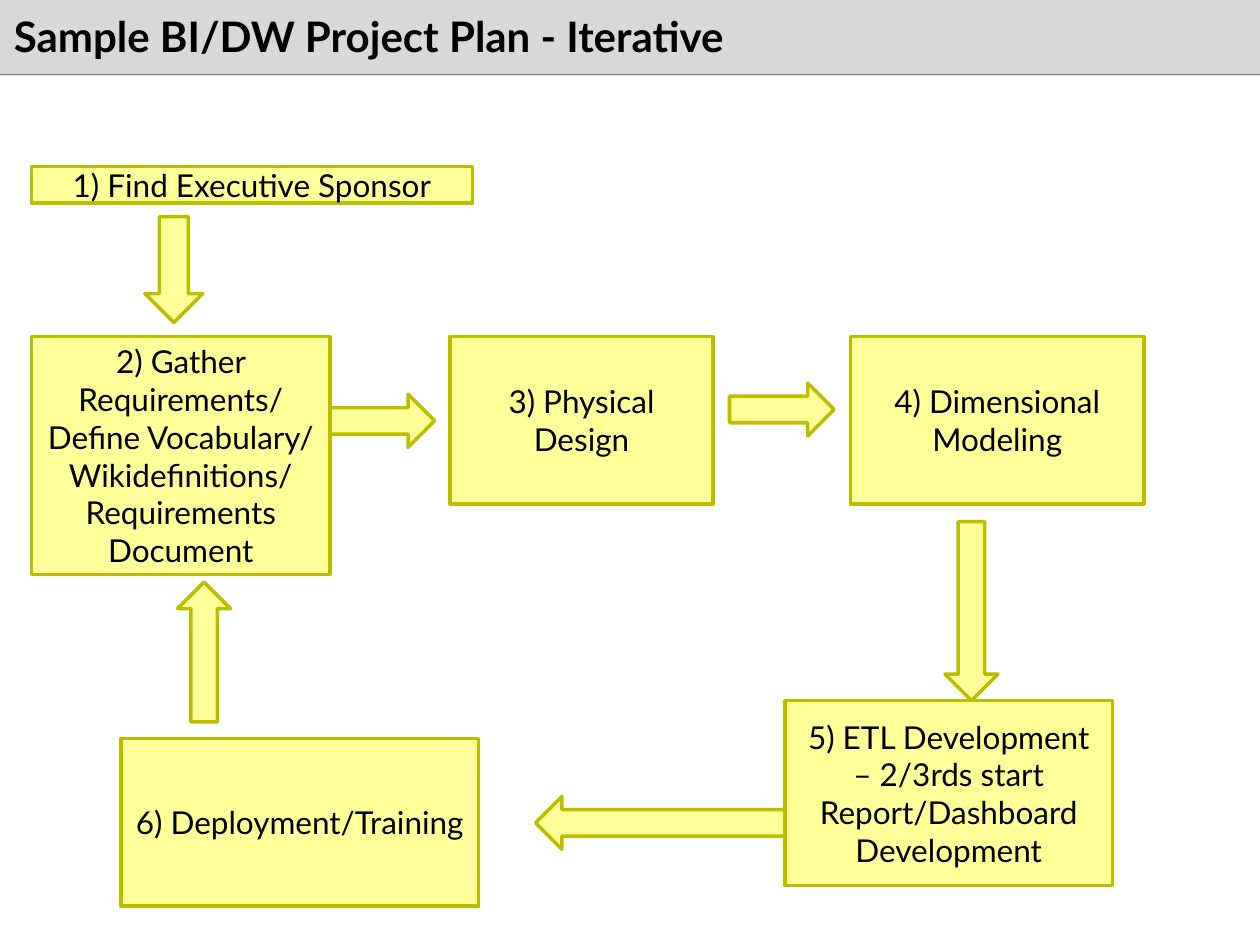
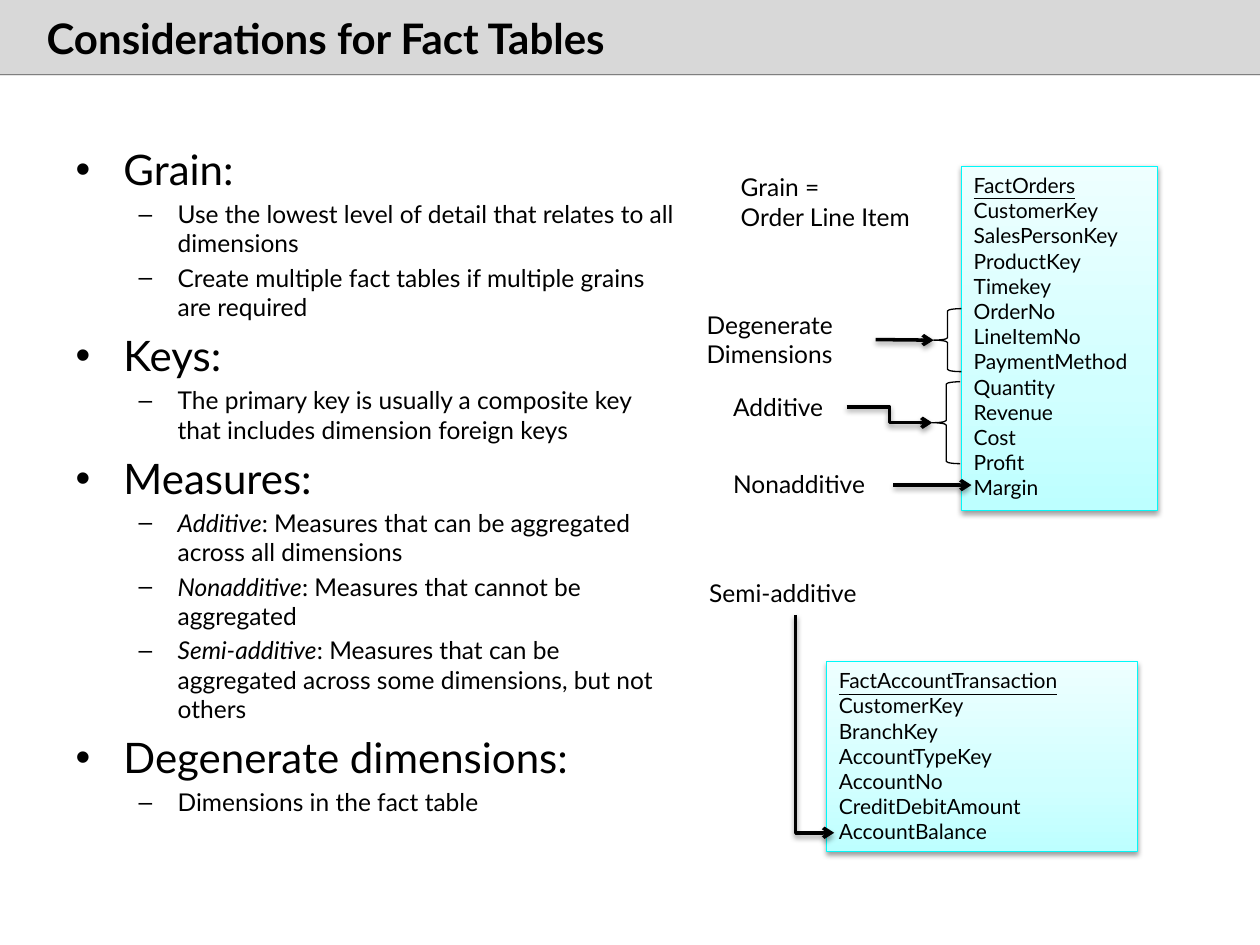
"""Build two slides on BI/DW project planning and fact tables."""
import pptx
import pptx.dml.color
import pptx.enum.shapes
import pptx.enum.text
import pptx.oxml.ns
import pptx.util
from lxml import etree

W, H = 10, 7.5
FONT = "Lato"
BLACK, BAND, RULE = "000000", "D8D8D8", "7F7F7F"
STEP_FILL, STEP_LINE, FACT_LINE = "FFFF99", "BDBD00", "00F9F9"
FACT_STOPS = [(0, "BDFFFF"), (35, "D1FFFF"), (100, "EEFFFF")]
SHAPE = pptx.enum.shapes.MSO_SHAPE
CONN = pptx.enum.shapes.MSO_CONNECTOR
ALIGN = pptx.enum.text.PP_ALIGN
ANCHOR = pptx.enum.text.MSO_ANCHOR
qn = pptx.oxml.ns.qn
inch = pptx.util.Inches

ROW, BOX_H, ARROW = 2.67, 1.33, 0.42
STEPS = [
    (["1) Find Executive Sponsor"], (0.25, 1.32, 3.5, 0.29)),
    (["2) Gather Requirements/", "Define Vocabulary/", "Wikidefinitions/",
      "Requirements Document"], (0.25, ROW, 2.37, 1.89)),
    (["3) Physical Design"], (3.57, ROW, 2.09, BOX_H)),
    (["4) Dimensional Modeling"], (6.75, ROW, 2.33, BOX_H)),
    (["5) ETL Development – 2/3rds start Report/Dashboard Development"],
     (6.23, 5.56, 2.6, 1.47)),
    (["6) Deployment/Training"], (0.96, 5.86, 2.84, BOX_H)),
]
ARROWS = [
    (SHAPE.DOWN_ARROW, (1.15, 1.72, 0.46, 0.84)),
    (SHAPE.RIGHT_ARROW, (2.62, 3.13, 0.83, ARROW)),
    (SHAPE.RIGHT_ARROW, (5.79, 3.04, 0.83, ARROW)),
    (SHAPE.DOWN_ARROW, (7.5, 4.14, ARROW, 1.42)),
    (SHAPE.LEFT_ARROW, (4.25, 6.32, 1.98, ARROW)),
    (SHAPE.UP_ARROW, (1.41, 4.62, ARROW, 1.11)),
]

OUTLINE = [
    ("Grain:", [
        ("", "Use the lowest level of detail that relates to all dimensions"),
        ("", "Create multiple fact tables if multiple grains are required")]),
    ("Keys:", [
        ("", "The primary key is usually a composite key that includes "
             "dimension foreign keys")]),
    ("Measures:", [
        ("Additive", ": Measures that can be aggregated across all dimensions"),
        ("Nonadditive", ": Measures that cannot be aggregated"),
        ("Semi-additive", ": Measures that can be aggregated across some "
                          "dimensions, but not others")]),
    ("Degenerate dimensions:", [("", "Dimensions in the fact table")]),
]
LEVELS = [("•", 24, 0.38, -0.38), ("–", 14, 0.81, -0.31)]
FACTS = [
    ((7.63, 1.32, 1.56, 2.73),
     ["FactOrders", "CustomerKey", "SalesPersonKey", "ProductKey", "Timekey",
      "OrderNo", "LineItemNo", "PaymentMethod", "Quantity", "Revenue", "Cost",
      "Profit", "Margin"]),
    ((6.56, 5.25, 2.47, 1.51),
     ["FactAccountTransaction", "CustomerKey", "BranchKey", "AccountTypeKey",
      "AccountNo", "CreditDebitAmount", "AccountBalance"]),
]
LABELS = {
    "grain": (["Grain =", "Order Line Item"], (5.78, 1.32, 1.85, 0.57)),
    "degenerate": (["Degenerate Dimensions"], (5.51, 2.41, 1.44, 0.57)),
    "additive": (["Additive"], (5.72, 3.06, 1, 0.34)),
    "nonadditive": (["Nonadditive"], (5.72, 3.67, 1.37, 0.36)),
    "semi": (["Semi-additive"], (5.53, 4.54, 1.57, 0.34)),
}
BRACES = {"degenerate": (7.41, 2.45, 0.22, 0.5),
          "additive": (7.4, 3.03, 0.22, 0.65)}
MARGIN_X = 7.71
BALANCE = (6.62, 6.61)


def color(hex_code):
    """Turn a hex string into a colour."""
    return pptx.dml.color.RGBColor.from_string(hex_code)


def place(sp, box):
    """Set the position and size of a shape in inches."""
    sp.left, sp.top, sp.width, sp.height = map(inch, box)


def set_line(sp, hex_code, width):
    """Give a shape or connector a solid line."""
    sp.line.color.rgb = color(hex_code)
    sp.line.width = pptx.util.Pt(width)


def style(p, size, bold=None):
    """Format every run of a paragraph."""
    for r in p.runs:
        r.font.name, r.font.size, r.font.bold = FONT, pptx.util.Pt(size), bold
        r.font.color.rgb = color(BLACK)


def write(sp, lines, size, align=ALIGN.LEFT, anchor=ANCHOR.TOP):
    """Fill a shape with one paragraph per line."""
    tf = sp.text_frame
    tf.word_wrap, tf.vertical_anchor = True, anchor
    tf.text = "\n".join(lines)
    for p in tf.paragraphs:
        p.alignment = align
        style(p, size)
    return tf


def add_shape(s, kind, box, fill, line, width):
    """Add a flat preset shape."""
    sp = s.shapes.add_shape(kind, *map(inch, box))
    sp.shadow.inherit = False
    if fill:
        sp.fill.solid()
        sp.fill.fore_color.rgb = color(fill)
    else:
        sp.fill.background()
    if line:
        set_line(sp, line, width)
    else:
        sp.line.fill.background()
    return sp


def add_effects(sp, shadow=True):
    """Replace the inherited effects with a soft drop shadow or none."""
    spPr = sp.element.spPr
    for old in spPr.findall(qn("a:effectLst")):
        spPr.remove(old)
    effects = etree.SubElement(spPr, qn("a:effectLst"))
    if shadow:
        outer = etree.SubElement(effects, qn("a:outerShdw"), blurRad="40000",
                                 dist="20000", dir="5400000", rotWithShape="0")
        clr = etree.SubElement(outer, qn("a:srgbClr"), val=BLACK)
        etree.SubElement(clr, qn("a:alpha"), val="38000")


def add_arrow(s, kind, begin, end):
    """Add a black connector with an open arrowhead and a shadow."""
    cx = s.shapes.add_connector(kind, *map(inch, begin + end))
    set_line(cx, BLACK, 2)
    etree.SubElement(cx.line._get_or_add_ln(), qn("a:tailEnd"), type="arrow")
    add_effects(cx)
    return cx


def add_master_band(prs, s):
    """Put the grey title band and its rule on the master."""
    band = add_shape(s, SHAPE.RECTANGLE, (0, 0, W, 0.6), BAND, None, 0)
    rule = s.shapes.add_connector(CONN.STRAIGHT, *map(inch, (0, 0.59, W, 0.59)))
    set_line(rule, RULE, 0.4)
    add_effects(rule, shadow=False)
    tree = prs.slide_master.element.cSld.spTree
    for i, sp in enumerate((band, rule)):
        tree.insert(2 + i, sp.element)


def set_title(s, text, box):
    """Write and format the slide title."""
    sp = s.shapes.title
    place(sp, box)
    tf = write(sp, [text], 24, anchor=ANCHOR.MIDDLE)
    tf.auto_size = pptx.enum.text.MSO_AUTO_SIZE.NONE
    tf.margin_top = tf.margin_bottom = 0
    style(tf.paragraphs[0], 24, True)


def add_bullet(tf, level, parts):
    """Add one bulleted paragraph; its first part is italic on level 1."""
    mark, size, margin, indent = LEVELS[level]
    first = not tf.paragraphs[0].runs
    p = tf.paragraphs[0] if first else tf.add_paragraph()
    p.level = level
    p.space_before = pptx.util.Pt(0 if first else size * 0.2)
    pPr = p._p.get_or_add_pPr()
    pPr.set("marL", str(inch(margin)))
    pPr.set("indent", str(inch(indent)))
    clr = etree.SubElement(pPr, qn("a:buClr"))
    etree.SubElement(clr, qn("a:srgbClr"), val=BLACK)
    etree.SubElement(pPr, qn("a:buFont"), typeface="Arial")
    etree.SubElement(pPr, qn("a:buChar"), char=mark)
    for i, part in enumerate(parts):
        if part:
            r = p.add_run()
            r.text = part
            r.font.italic = level == 1 and i == 0
    style(p, size)


def add_fact(s, box, fields):
    """Add a fact table card with an underlined name."""
    sp = add_shape(s, SHAPE.RECTANGLE, box, None, FACT_LINE, 0.75)
    sp.fill.gradient()
    sp.fill.gradient_angle = 90
    stops = sp.element.spPr.find(".//" + qn("a:gsLst"))
    stops.clear()
    for pos, hex_code in FACT_STOPS:
        gs = etree.SubElement(stops, qn("a:gs"), pos=str(pos * 1000))
        etree.SubElement(gs, qn("a:srgbClr"), val=hex_code)
    add_effects(sp)
    tf = write(sp, fields, 12)
    tf.paragraphs[0].runs[0].font.underline = True


def build_plan(s):
    """Draw the iterative project plan."""
    set_title(s, "Sample BI/DW Project Plan - Iterative", (0.01, 0, 9, 0.56))
    for lines, box in STEPS:
        sp = add_shape(s, SHAPE.RECTANGLE, box, STEP_FILL, STEP_LINE, 2)
        write(sp, lines, 18, ALIGN.CENTER, ANCHOR.MIDDLE)
    for kind, box in ARROWS:
        add_shape(s, kind, box, STEP_FILL, STEP_LINE, 2)


def build_facts(s):
    """Draw the fact table outline and its annotated examples."""
    set_title(s, "Considerations for Fact Tables", (0.27, 0.1, 4.99, 0.4))
    body = s.placeholders[1]
    place(body, (0.5, 1.09, 4.98, 6.41))
    tf = body.text_frame
    tf.auto_size = pptx.enum.text.MSO_AUTO_SIZE.NONE
    for heading, points in OUTLINE:
        add_bullet(tf, 0, [heading])
        for parts in points:
            add_bullet(tf, 1, parts)
    for box, fields in FACTS:
        add_fact(s, box, fields)
    labels = {}
    for key, (lines, box) in LABELS.items():
        labels[key] = s.shapes.add_textbox(*map(inch, box))
        write(labels[key], lines, 14)
    for key, kind in (("degenerate", CONN.STRAIGHT), ("additive", CONN.ELBOW)):
        brace = add_shape(s, SHAPE.LEFT_BRACE, BRACES[key], None, BLACK, 0.75)
        cx = add_arrow(s, kind, (0, 0), (1, 1))
        cx.begin_connect(labels[key], 3)
        cx.end_connect(brace, 1)
    x, y, w, h = LABELS["nonadditive"][1]
    cx = add_arrow(s, CONN.STRAIGHT, (x + w, y + h / 2), (MARGIN_X, y + h / 2))
    cx.begin_connect(labels["nonadditive"], 3)
    x, y, w, h = LABELS["semi"][1]
    x0, y0, (x1, y1) = x + w / 2, y + h, BALANCE
    mid_x, mid_y, run, drop = (x0 + x1) / 2, (y0 + y1) / 2, x1 - x0, y1 - y0
    cx = add_arrow(s, CONN.ELBOW, (mid_x + drop / 2, mid_y - run / 2),
                   (mid_x - drop / 2, mid_y + run / 2))
    cx.element.spPr.find(qn("a:xfrm")).set("rot", str(270 * 60000))
    cx.element.spPr.find(qn("a:prstGeom")).set("prst", "bentConnector2")


def main():
    """Build and save the presentation."""
    prs = pptx.Presentation()
    prs.slide_width, prs.slide_height = inch(W), inch(H)
    plan = prs.slides.add_slide(prs.slide_layouts[5])
    add_master_band(prs, plan)
    build_plan(plan)
    build_facts(prs.slides.add_slide(prs.slide_layouts[1]))
    prs.save("out.pptx")


if __name__ == "__main__":
    main()
